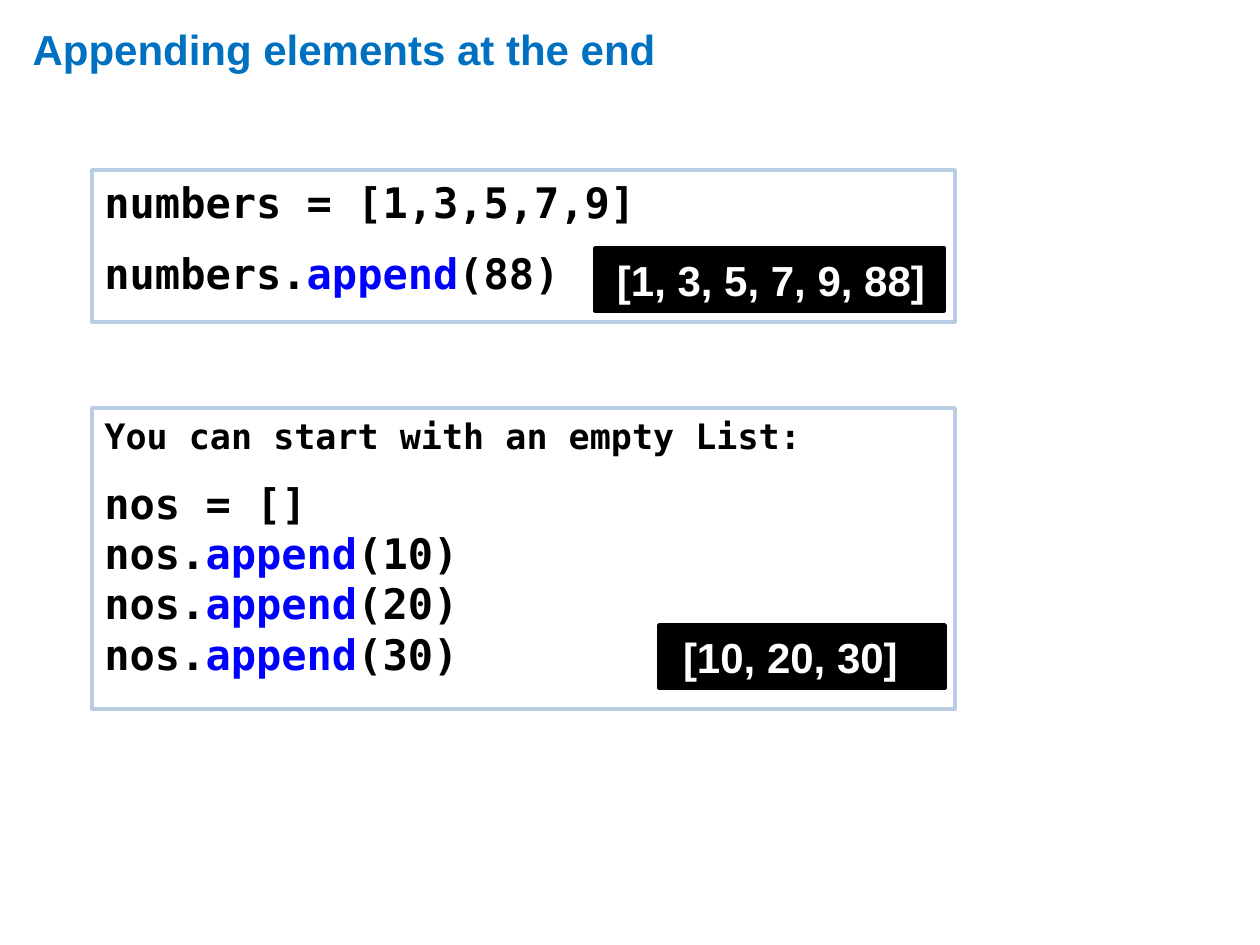
from pptx import Presentation
from pptx.dml.color import RGBColor
from pptx.enum.shapes import MSO_SHAPE as Shape
from pptx.enum.text import MSO_ANCHOR as Anchor, MSO_AUTO_SIZE as AutoSize, PP_ALIGN as Align
from pptx.util import Emu, Pt

COLORS = {
    "title": "0070C0",
    "method": "0000FF",
    "border": "B8CCE4",
    "black": "000000",
    "white": "FFFFFF",
}
EMU_PER_PX = 914400 / 126
SANS, MONO = "Arial", "DejaVu Sans Mono"
METHOD = "append"


def px(length):
    return Emu(round(length * EMU_PER_PX))


def color(name):
    return RGBColor.from_string(COLORS[name])


class LessonSlide:
    def __init__(self, deck):
        self.slide = deck.slides.add_slide(deck.slide_layouts[5])

    def style(self, paragraph, face, size, ink):
        paragraph.alignment = Align.LEFT
        font = paragraph.font
        font.name, font.size, font.bold = face, Pt(size), True
        font.color.rgb = color(ink)

    def title(self, text, left, top, width, height):
        heading = self.slide.shapes.title
        heading.left, heading.top = px(left), px(top)
        heading.width, heading.height = px(width), px(height)
        frame = heading.text_frame
        frame.text = text
        frame.auto_size = AutoSize.NONE
        frame.vertical_anchor = Anchor.MIDDLE
        self.style(frame.paragraphs[0], SANS, 24, "title")

    def panel(self, left, top, width, height, fill, border):
        box = self.slide.shapes.add_shape(
            Shape.RECTANGLE, px(left), px(top), px(width), px(height))
        box.shadow.inherit = False
        box.fill.solid()
        box.fill.fore_color.rgb = color(fill)
        box.line.color.rgb = color(border)
        box.line.width = Pt(2)
        frame = box.text_frame
        frame.word_wrap = True
        frame.vertical_anchor = Anchor.TOP
        return frame

    def code(self, top, height, lines, gap_before, intro_size=24):
        frame = self.panel(92, top, 863, height, "white", "border")
        for index, line in enumerate(lines):
            paragraph = frame.paragraphs[0] if index == 0 else frame.add_paragraph()
            self.style(paragraph, MONO, 24 if index else intro_size, "black")
            if index == gap_before:
                paragraph.space_before = Pt(12)
            before, method, after = line.partition(METHOD)
            for part in filter(None, (before, method, after)):
                run = paragraph.add_run()
                run.text = part
                if part == METHOD:
                    run.font.color.rgb = color("method")

    def output(self, text, left, top, width, inset):
        frame = self.panel(left, top, width, 63, "black", "black")
        frame.margin_left = px(inset)
        frame.text = text
        self.style(frame.paragraphs[0], SANS, 24, "white")


def main():
    deck = Presentation()
    deck.slide_width, deck.slide_height = px(1260), px(945)
    lesson = LessonSlide(deck)
    lesson.title("Appending elements at the end", 20, 14, 1211, 69)
    lesson.code(170, 152, ["numbers = [1,3,5,7,9]", "numbers.append(88)"], gap_before=1)
    lesson.output("[1, 3, 5, 7, 9, 88]", 595, 248, 349, inset=22)
    appends = [f"nos.append({value})" for value in (10, 20, 30)]
    lesson.code(408, 301, ["You can start with an empty List:", "nos = []", *appends],
                gap_before=1, intro_size=20)
    lesson.output("[10, 20, 30]", 659, 625, 286, inset=24)
    deck.save("out.pptx")


if __name__ == "__main__":
    main()
